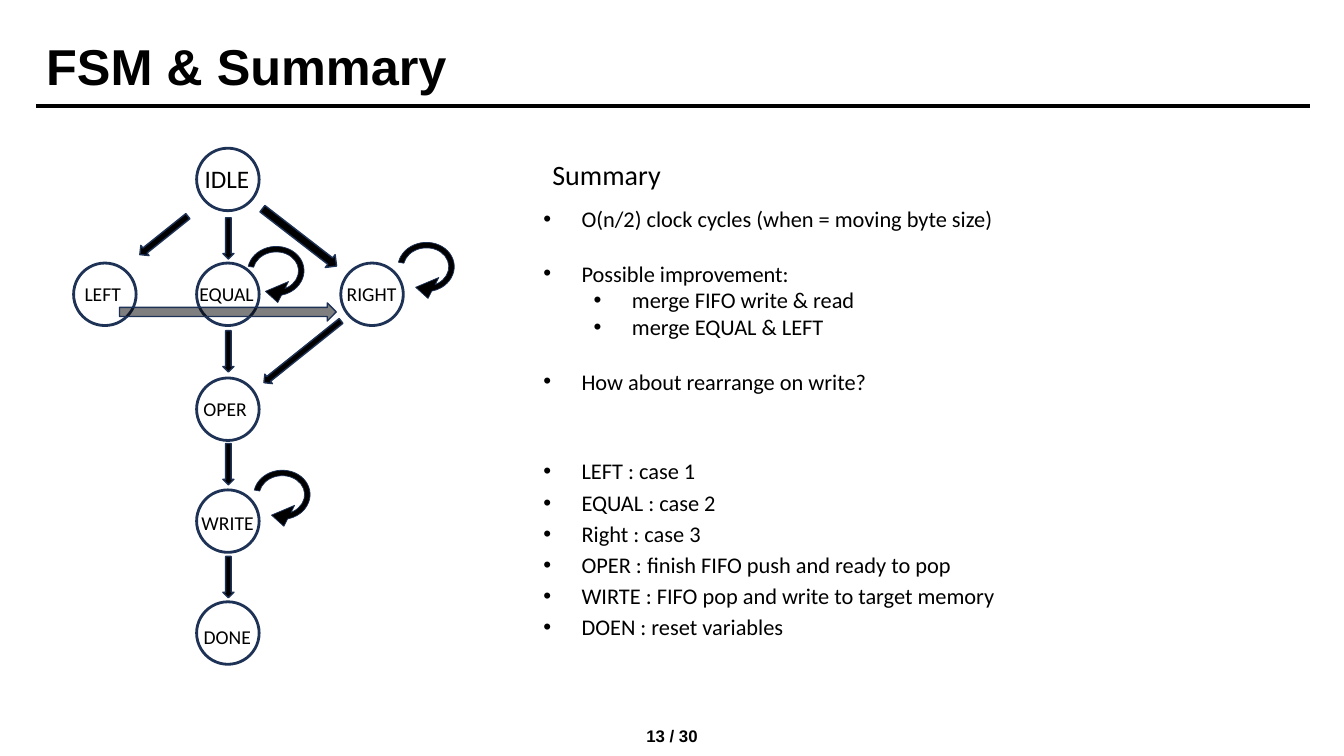
import pptx
import pptx.util
import pptx.dml.color
import pptx.enum.shapes
import pptx.enum.text
import pptx.oxml
import pptx.oxml.ns
from pptx.util import Inches

BLACK = pptx.dml.color.RGBColor(0x00, 0x00, 0x00)
NAVY = pptx.dml.color.RGBColor(0x1E, 0x32, 0x56)
SHAPE = pptx.enum.shapes.MSO_SHAPE
ANCHOR = pptx.enum.text.MSO_ANCHOR
ALIGN = pptx.enum.text.PP_ALIGN

STATE_SIZE = 0.62
# state: circle left, circle top, label left, label top, label width, height, size
STATES = {
    "IDLE": (1.95, 1.47, 1.93, 1.57, 0.92, 0.4, 18),
    "LEFT": (0.73, 2.61, 0.74, 2.75, 0.57, 0.34, 14),
    "EQUAL": (1.95, 2.61, 1.88, 2.75, 0.74, 0.34, 14),
    "RIGHT": (3.38, 2.61, 3.34, 2.75, 0.7, 0.34, 14),
    "OPER": (1.95, 3.75, 1.92, 3.89, 0.64, 0.34, 14),
    "WRITE": (1.95, 4.86, 1.9, 5.02, 0.73, 0.34, 14),
    "DONE": (1.95, 5.97, 1.92, 6.15, 0.68, 0.34, 14),
}
# left, top, width, height, rotation
DIAGONAL_ARROWS = [
    (1.56, 2.03, 0.13, 0.61, 231.3),
    (2.89, 1.89, 0.16, 0.93, 127.7),
    (2.94, 3.0, 0.12, 0.98, 231.3),
]
SELF_LOOPS = [(3.89, 2.28), (2.4, 2.32), (2.46, 4.54)]
LOOP_ADJUSTMENTS = (0.081, 28.021, 206.302, 61.925, 0.175)

# text, left margin, space before in points
SUMMARY = [
    ("O(n/2) clock cycles (when = moving byte size)", 0.88, 0),
    ("Possible improvement:", 0.88, 19.5),
    ("merge FIFO write & read", 1.38, 0),
    ("merge EQUAL & LEFT", 1.38, 0),
    ("How about rearrange on write?", 0.88, 19.5),
]
CASES = [
    "LEFT : case 1",
    "EQUAL : case 2",
    "Right : case 3",
    "OPER : finish FIFO push and ready to pop",
    "WIRTE : FIFO pop and write to target memory",
    "DOEN : reset variables",
]


def apply_format(target, values):
    for name, value in values.items():
        setattr(target, name, value)


def write(paragraph, text, size, font="Calibri", bold=False):
    run = paragraph.add_run()
    run.text = text
    apply_format(run.font, {"size": pptx.util.Pt(size), "name": font, "bold": bold})
    run.font.color.rgb = BLACK


def add_frame(slide, box, wrap=True, anchor=ANCHOR.TOP):
    frame = slide.shapes.add_textbox(*map(Inches, box)).text_frame
    apply_format(frame, {"word_wrap": wrap, "vertical_anchor": anchor})
    return frame


def add_label(slide, box, text, size, wrap=True):
    write(add_frame(slide, box, wrap).paragraphs[0], text, size)


def add_bullets(slide, box, items, line_spacing):
    frame = add_frame(slide, box)
    for index, (text, margin, before) in enumerate(items):
        paragraph = frame.add_paragraph() if index else frame.paragraphs[0]
        apply_format(paragraph, {"line_spacing": line_spacing,
                                 "space_before": pptx.util.Pt(before)})
        properties = paragraph._p.get_or_add_pPr()
        properties.set("marL", str(Inches(margin)))
        properties.set("indent", str(Inches(-0.38)))
        ns = pptx.oxml.ns.nsdecls("a")
        for xml in (f'<a:buFont {ns} typeface="Arial"/>', f'<a:buChar {ns} char="•"/>'):
            properties.append(pptx.oxml.parse_xml(xml))
        write(paragraph, text, 16)


def add_outlined(slide, kind, box, line_width, rotation=0, filled=True):
    shape = slide.shapes.add_shape(kind, *map(Inches, box))
    shape.shadow.inherit = False
    shape.rotation = rotation
    if filled:
        shape.fill.solid()
        shape.fill.fore_color.rgb = BLACK
    else:
        shape.fill.background()
    shape.line.color.rgb = NAVY
    shape.line.width = pptx.util.Pt(line_width)
    return shape


def add_arrow(slide, left, top, width, height, rotation):
    return add_outlined(slide, SHAPE.UP_ARROW, (left, top, width, height), 1, rotation)


def add_loop(slide, left, top):
    loop = add_outlined(slide, SHAPE.CIRCULAR_ARROW, (left, top, 0.67, 0.74), 0.5, 86.7)
    for index, value in enumerate(LOOP_ADJUSTMENTS):
        loop.adjustments[index] = value


def add_heading(slide):
    rule = slide.shapes.add_connector(
        pptx.enum.shapes.MSO_CONNECTOR.STRAIGHT,
        Inches(0.36), Inches(1.05), Inches(12.99), Inches(1.05))
    rule.line.color.rgb = BLACK
    rule.line.width = pptx.util.Pt(3)
    rule._element.spPr.append(pptx.oxml.parse_xml(
        f'<a:effectLst {pptx.oxml.ns.nsdecls("a")}/>'))
    title = add_frame(slide, (0.36, 0.34, 12.62, 0.7), anchor=ANCHOR.MIDDLE).paragraphs[0]
    title.line_spacing = 0.9
    write(title, "FSM & Summary", 36, "Arial", True)


def add_page_number(slide):
    page = add_frame(slide, (5.72, 7.15, 1.89, 0.3)).paragraphs[0]
    page.alignment = ALIGN.CENTER
    write(page, "13 / 30", 12, "Arial", True)


def add_state_machine(slide):
    # State circles
    for left, top, *_ in STATES.values():
        add_outlined(slide, SHAPE.OVAL, (left, top, STATE_SIZE, STATE_SIZE), 2, filled=False)
    # Transitions
    for arrow in DIAGONAL_ARROWS:
        add_arrow(slide, *arrow)
    for step in range(4):
        add_arrow(slide, 2.21, 2.16 + 1.12 * step, 0.11, 0.41, 180)
    for left, top in SELF_LOOPS:
        add_loop(slide, left, top)
    # State names
    for name, (_, _, *box, size) in STATES.items():
        add_label(slide, box, name, size, wrap=name == "IDLE")
    # Half-transparent transition from LEFT to RIGHT
    crossing = add_arrow(slide, 2.17, 2.02, 0.18, 2.15, 90)
    color = crossing._element.spPr.find(
        pptx.oxml.ns.qn("a:solidFill")).find(pptx.oxml.ns.qn("a:srgbClr"))
    color.append(pptx.oxml.parse_xml(
        f'<a:alpha {pptx.oxml.ns.nsdecls("a")} val="50000"/>'))


def main():
    deck = pptx.Presentation()
    apply_format(deck, {"slide_width": Inches(13.33), "slide_height": Inches(7.5)})
    slide = deck.slides.add_slide(deck.slide_layouts[6])
    add_heading(slide)
    add_page_number(slide)
    add_state_machine(slide)
    # Summary column
    add_label(slide, (5.38, 1.51, 6.67, 0.44), "Summary", 20)
    add_bullets(slide, (4.79, 1.99, 6.67, 1.99), SUMMARY, 1.0)
    add_bullets(slide, (4.79, 4.52, 6.75, 1.97), [(case, 0.88, 5) for case in CASES], 0.9)
    deck.save("out.pptx")


if __name__ == "__main__":
    main()
